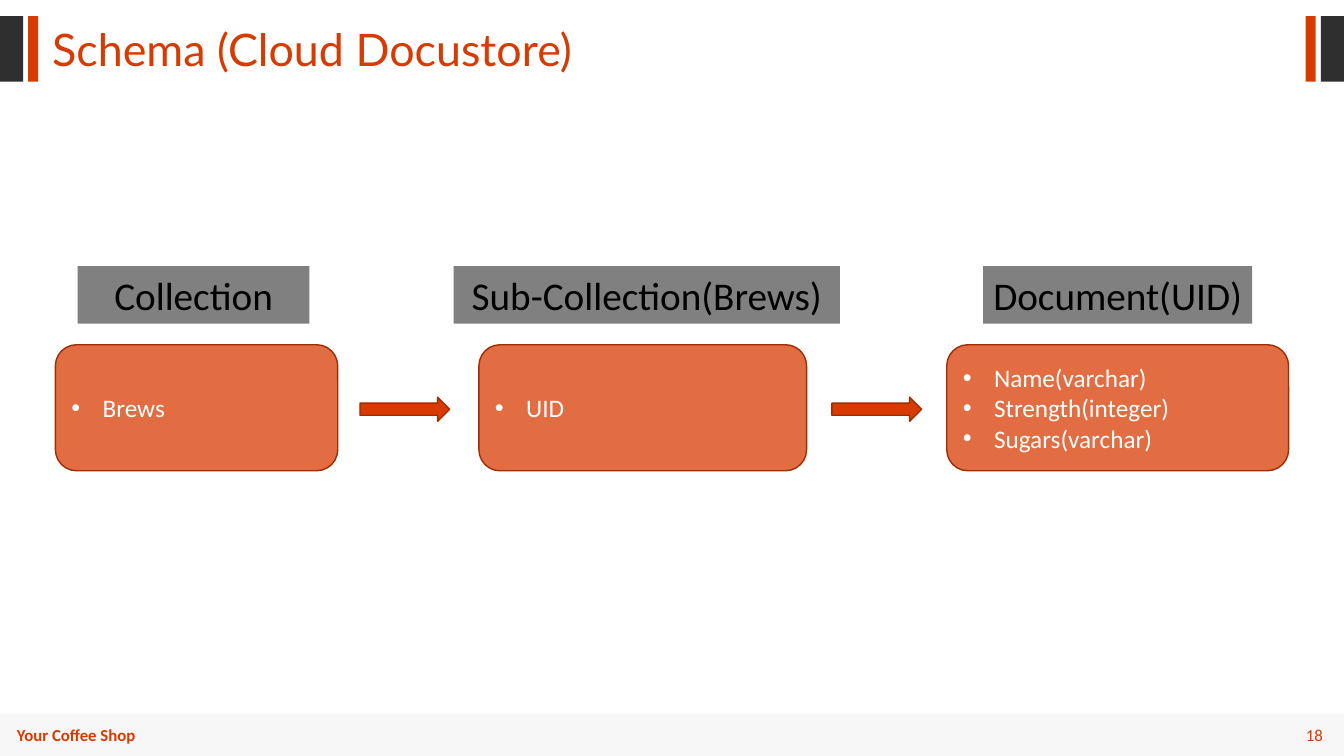
from lxml import etree
from pptx import Presentation
from pptx import util as u
from pptx.dml.color import RGBColor
from pptx.enum import shapes, text
from pptx.oxml import ns

PX = 9144  # EMU per px, 100 px to the inch
WIDTH, HEIGHT = 1333, 750

ORANGE = RGBColor(0xD8, 0x3B, 0x01)
RUST = RGBColor(0xA0, 0x2C, 0x01)
CHARCOAL = RGBColor(0x2F, 0x2F, 0x2F)
GRAY = RGBColor(0x80, 0x80, 0x80)
LIGHT_GRAY = RGBColor(0xE6, 0xE6, 0xE6)
BLACK = RGBColor(0, 0, 0)
WHITE = RGBColor(0xFF, 0xFF, 0xFF)

SHAPE = shapes.MSO_SHAPE
ALIGN = text.PP_ALIGN
ANCHOR = text.MSO_ANCHOR


class SchemaSlide:
    body_font = "Calibri"
    title_font = "Lato"
    bullet_indent = 31

    def __init__(self, presentation):
        self.slide = presentation.slides.add_slide(presentation.slide_layouts[6])

    def block(self, kind, left, top, width, height, fill, opacity=100, line=None):
        """Add a filled preset shape; opacity is in percent."""
        shape = self.slide.shapes.add_shape(
            kind, left * PX, top * PX, width * PX, height * PX)
        shape.shadow.inherit = False
        shape.fill.solid()
        shape.fill.fore_color.rgb = fill
        if opacity < 100:
            color = shape.fill._xPr.find(".//" + ns.qn("a:srgbClr"))
            etree.SubElement(color, ns.qn("a:alpha"), val=str(opacity * 1000))
        if line is None:
            shape.line.fill.background()
        else:
            shape.line.color.rgb = line
            shape.line.width = u.Pt(1)
        return shape

    def style(self, paragraph, size, color, font=None, bold=False, align=ALIGN.LEFT):
        paragraph.alignment = align
        paragraph.font.size = u.Pt(size)
        paragraph.font.name = font or self.body_font
        paragraph.font.bold = bold
        paragraph.font.color.rgb = color

    def textbox(self, left, top, width, height, words, size, **style):
        box = self.slide.shapes.add_textbox(
            left * PX, top * PX, width * PX, height * PX)
        box.text_frame.word_wrap = True
        box.text_frame.text = words
        paragraph = box.text_frame.paragraphs[0]
        self.style(paragraph, size, ORANGE, **style)
        return paragraph

    def label(self, left, width, words):
        shape = self.block(SHAPE.RECTANGLE, left, 264, width, 57, GRAY)
        frame = shape.text_frame
        frame.word_wrap = False
        frame.vertical_anchor = ANCHOR.TOP
        frame.text = words
        self.style(frame.paragraphs[0], 28, BLACK, align=ALIGN.CENTER)

    def card(self, left, width, fields):
        """Add a rounded box with one bullet per field."""
        shape = self.block(SHAPE.ROUNDED_RECTANGLE, left, 342, width, 125,
                           ORANGE, opacity=74, line=RUST)
        frame = shape.text_frame
        frame.vertical_anchor = ANCHOR.MIDDLE
        frame.text = "\n".join(fields)
        for paragraph in frame.paragraphs:
            properties = paragraph._p.get_or_add_pPr()
            properties.set("marL", str(self.bullet_indent * PX))
            properties.set("indent", str(-self.bullet_indent * PX))
            etree.SubElement(properties, ns.qn("a:buFont"), typeface="Arial")
            etree.SubElement(properties, ns.qn("a:buChar"), char="•")
            self.style(paragraph, 18, WHITE)

    def arrow(self, left):
        self.block(SHAPE.RIGHT_ARROW, left, 394, 89, 24, ORANGE, line=RUST)

    def edge_bars(self):
        """Add the dark and orange bars, mirrored on both slide edges."""
        for offset, width, color in ((0, 23, CHARCOAL), (28, 10, ORANGE)):
            for left in (offset, WIDTH - offset - width):
                self.block(SHAPE.RECTANGLE, left, 16, width, 65, color)

    def footer(self, words, number):
        self.block(SHAPE.RECTANGLE, 0, 708, WIDTH, 42, LIGHT_GRAY, opacity=30)
        self.textbox(1235, 714, 87, 30, number, 12, align=ALIGN.RIGHT)
        self.textbox(7, 714, 184, 30, words, 12, bold=True)


def main():
    presentation = Presentation()
    presentation.slide_width = WIDTH * PX
    presentation.slide_height = HEIGHT * PX

    schema = SchemaSlide(presentation)
    schema.edge_bars()
    schema.footer("Your Coffee Shop", "18")
    title = schema.textbox(42, 27, 667, 54, "Schema (Cloud Docustore)", 32,
                           font=schema.title_font)
    title.line_spacing = 0.8

    levels = (
        # label, label left and width, card left and width, fields
        ("Collection", 77, 230, 55, 280, ["Brews"]),
        ("Sub-Collection(Brews)", 450, 383, 475, 325, ["UID"]),
        ("Document(UID)", 975, 267, 939, 339,
         ["Name(varchar)", "Strength(integer)", "Sugars(varchar)"]),
    )
    for words, label_left, label_width, card_left, card_width, fields in levels:
        schema.card(card_left, card_width, fields)
        schema.label(label_left, label_width, words)
    for left in (357, 825):
        schema.arrow(left)

    presentation.save("out.pptx")


if __name__ == "__main__":
    main()
